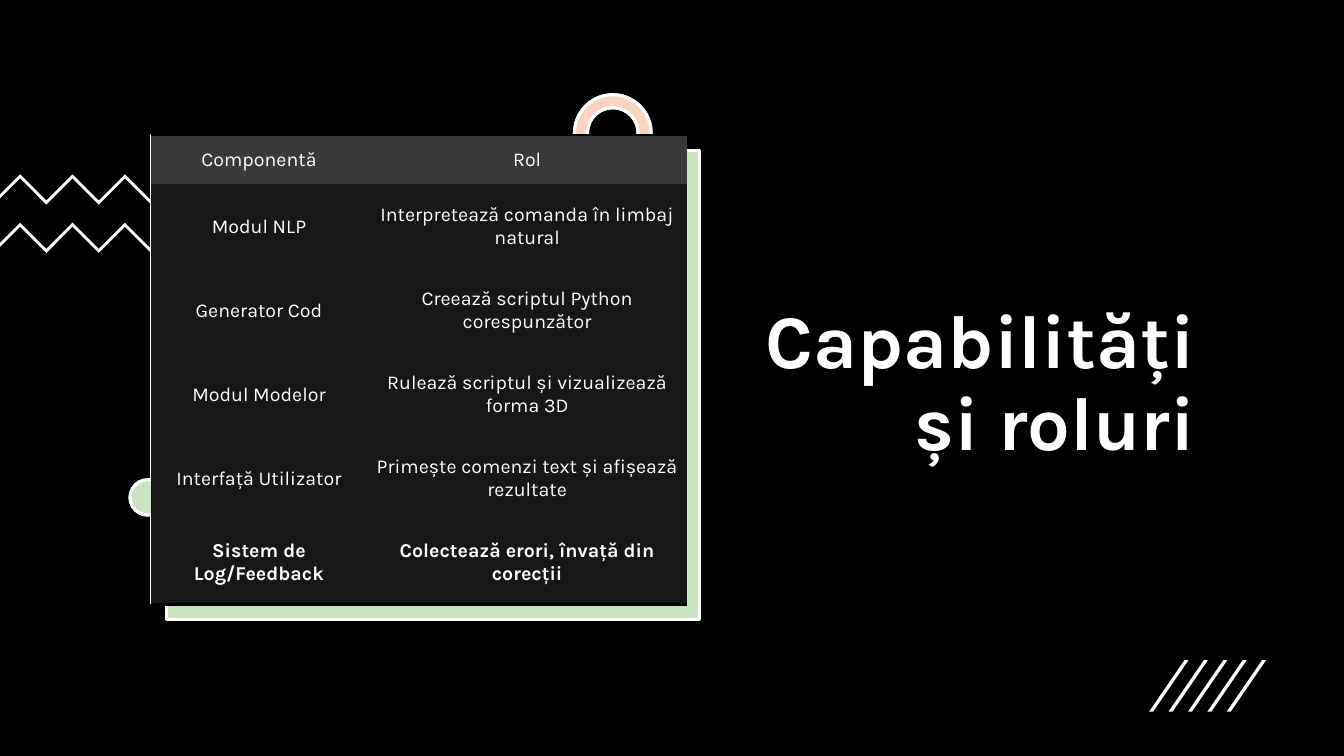
from dataclasses import dataclass

from lxml import etree
from pptx import Presentation
from pptx.dml.color import RGBColor
from pptx.enum.shapes import MSO_SHAPE
from pptx.enum.text import MSO_ANCHOR, PP_ALIGN
from pptx.oxml.ns import qn
from pptx.util import Inches, Pt

RECTANGLE, OVAL, DONUT = MSO_SHAPE.RECTANGLE, MSO_SHAPE.OVAL, MSO_SHAPE.DONUT
MIDDLE, BOTTOM = MSO_ANCHOR.MIDDLE, MSO_ANCHOR.BOTTOM
CENTER, RIGHT = PP_ALIGN.CENTER, PP_ALIGN.RIGHT

FONT = "Karla"
WHITE, BLACK, GREEN, ORANGE = "FFFFFF", "000000", "4EA72E", "E97132"
HEADER_FILL, BODY_FILL = "3A3A3A", "171717"
TINT_ALPHA = 30
NO_STYLE_NO_GRID = "{2D5ABB26-0587-4C30-8999-92F81FD0307C}"

SLIDE_HEIGHT = 7.5
SLIDE_WIDTH = SLIDE_HEIGHT * 16 / 9
COLUMN_WIDTHS = (2.14, 3.18)
HEADER_HEIGHT = 0.49
ROWS = (
    ("Componentă", "Rol"),
    ("Modul NLP", "Interpretează comanda în limbaj natural"),
    ("Generator Cod", "Creează scriptul Python corespunzător"),
    ("Modul Modelor", "Rulează scriptul și vizualizează forma 3D"),
    ("Interfață Utilizator", "Primește comenzi text și afișează rezultate"),
    ("Sistem de Log/Feedback", "Colectează erori, învață din corecții"),
)


@dataclass
class Box:
    left: float
    top: float
    width: float
    height: float

    def lengths(self) -> list:
        return [Inches(v) for v in (self.left, self.top, self.width, self.height)]


@dataclass
class Ornament:
    kind: int
    box: Box
    tint: str


def color(value: str) -> RGBColor:
    return RGBColor.from_string(value)


def paint(shape, fill: str | None, outlined: bool, alpha: int = 100) -> None:
    shape.shadow.inherit = False
    if fill is None:
        shape.fill.background()
    else:
        shape.fill.solid()
        shape.fill.fore_color.rgb = color(fill)
    if alpha < 100:
        tone = shape._element.spPr.find(qn("a:solidFill"))[0]
        etree.SubElement(tone, qn("a:alpha"), val=str(alpha * 1000))
    if outlined:
        shape.line.color.rgb = color(WHITE)
        shape.line.width = Pt(2.25)
    else:
        shape.line.fill.background()


def add_preset(shapes, kind: int, box: Box, fill: str | None,
               outlined: bool = True, alpha: int = 100):
    shape = shapes.add_shape(kind, *box.lengths())
    if kind == DONUT:
        shape.adjustments[0] = 0.17
    paint(shape, fill, outlined, alpha)
    return shape


def add_ornament(shapes, ornament: Ornament) -> None:
    """A white base below a translucent tint."""
    add_preset(shapes, ornament.kind, ornament.box, WHITE)
    add_preset(shapes, ornament.kind, ornament.box, ornament.tint, alpha=TINT_ALPHA)


def add_polygon(shapes, points: list[tuple[float, float]]) -> None:
    corners = [(Inches(x), Inches(y)) for x, y in points]
    builder = shapes.build_freeform(*corners[0])
    builder.add_line_segments(corners[1:], close=True)
    paint(builder.convert_to_shape(), WHITE, outlined=False)


def add_zigzag(shapes, top: float) -> None:
    turns = [(0.2 + 0.26 * i, top + 0.26 * (i % 2)) for i in range(7)]
    lower_edge = [(x, y + 0.04) for x, y in reversed(turns)]
    right_end = [(2.04, top + 0.27), (2.01, top + 0.29)]
    left_end = [(0, top + 0.24), (0, top + 0.2)]
    add_polygon(shapes, turns + right_end + lower_edge + left_end)


def format_text(text_frame, size: float, bold: bool, alignment: int) -> None:
    for paragraph in text_frame.paragraphs:
        paragraph.alignment = alignment
        for run in paragraph.runs:
            values = {"name": FONT, "size": Pt(size), "bold": bold}
            for name, value in values.items():
                setattr(run.font, name, value)
            run.font.color.rgb = color(WHITE)


def add_border(cell, side: str) -> None:
    line = etree.Element(qn(f"a:{side}"), w=str(Pt(2)))
    fill = etree.SubElement(line, qn("a:solidFill"))
    etree.SubElement(fill, qn("a:srgbClr"), val=BLACK)
    cell._tc.get_or_add_tcPr().insert(0, line)


def add_role_table(shapes, box: Box) -> None:
    frame = shapes.add_table(len(ROWS), len(COLUMN_WIDTHS), *box.lengths())
    table = frame.table
    table.first_row = table.horz_banding = False
    table._tbl.tblPr.find(qn("a:tableStyleId")).text = NO_STYLE_NO_GRID
    for column, width in zip(table.columns, COLUMN_WIDTHS):
        column.width = Inches(width)
    last = len(ROWS) - 1
    row_height = (box.height - HEADER_HEIGHT) / last
    cell_format = {
        "vertical_anchor": MIDDLE,
        "margin_left": Inches(0.08), "margin_right": Inches(0.08),
        "margin_top": Inches(0.04), "margin_bottom": Inches(0.04),
    }
    for r, texts in enumerate(ROWS):
        table.rows[r].height = Inches(row_height if r else HEADER_HEIGHT)
        for c, text in enumerate(texts):
            cell = table.cell(r, c)
            cell.text = text
            for name, value in cell_format.items():
                setattr(cell, name, value)
            cell.fill.solid()
            cell.fill.fore_color.rgb = color(BODY_FILL if r else HEADER_FILL)
            format_text(cell.text_frame, 14, r == last, CENTER)
            if r in (0, last):
                add_border(cell, "lnB" if r else "lnT")


def main() -> None:
    presentation = Presentation()
    presentation.slide_width = Inches(SLIDE_WIDTH)
    presentation.slide_height = Inches(SLIDE_HEIGHT)
    slide = presentation.slides.add_slide(presentation.slide_layouts[5])
    shapes = slide.shapes

    # Black backdrop, behind the title
    backdrop = add_preset(shapes, RECTANGLE, Box(0, 0, SLIDE_WIDTH, SLIDE_HEIGHT),
                          BLACK, outlined=False)
    shapes.title._element.addprevious(backdrop._element)

    # Title
    title = shapes.title
    title.left, title.top, title.width, title.height = Box(7.36, 0.75, 4.6, 3.93).lengths()
    title.text_frame.text = "Capabilități și roluri"
    title.text_frame.word_wrap = True
    title.text_frame.vertical_anchor = BOTTOM
    title.text_frame.paragraphs[0].line_spacing = 0.9
    format_text(title.text_frame, 54, True, RIGHT)

    # Green panel behind the table, zigzags and black panel
    add_ornament(shapes.add_group_shape().shapes,
                 Ornament(RECTANGLE, Box(1.65, 1.49, 5.29, 4.66), GREEN))
    for top in (1.73, 2.21):
        add_zigzag(shapes, top)
    panel = Box(1.5, 1.35, 5.29, 4.64)
    for fill in (BLACK, None):
        add_preset(shapes, RECTANGLE, panel, fill)

    # Dot and ring at the panel's edges
    for ornament in (Ornament(OVAL, Box(1.29, 4.76, 0.35, 0.35), GREEN),
                     Ornament(DONUT, Box(5.7, 0.94, 0.76, 0.76), ORANGE)):
        add_ornament(shapes, ornament)

    # Slanted strokes
    strokes = shapes.add_group_shape().shapes
    for i in range(5):
        left = 11.4 + 0.77 / 4 * i
        add_polygon(strokes, [(left + 0.04, 7.06), (left, 7.06),
                              (left + 0.35, 6.55), (left + 0.39, 6.55)])

    # Table of components and roles
    add_role_table(shapes, Box(1.5, 1.34, 5.32, 4.66))

    presentation.save("out.pptx")


if __name__ == "__main__":
    main()
